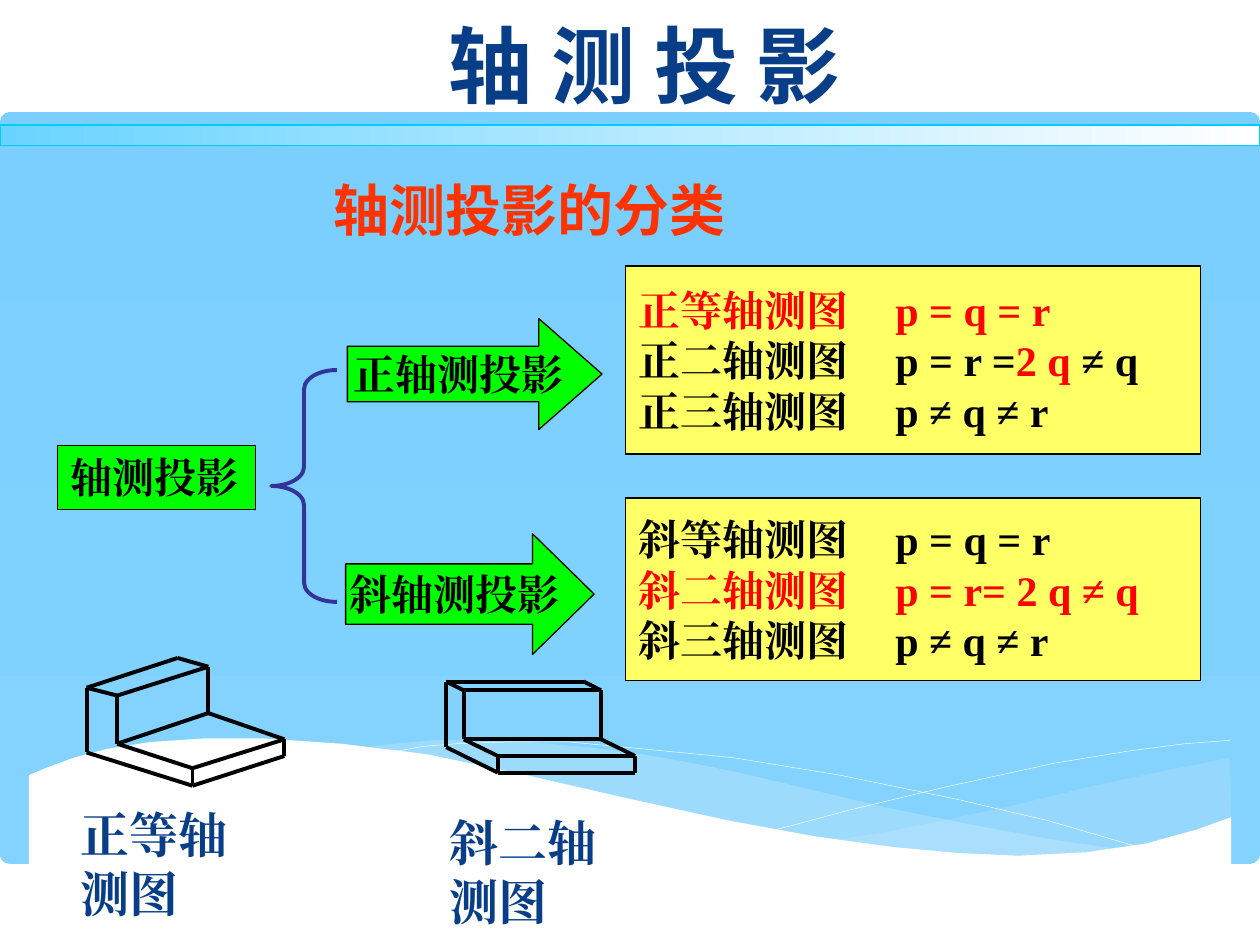
import pptx
import pptx.util
import pptx.dml.color
import pptx.enum.shapes
import pptx.enum.text
import lxml.etree
from typing import NamedTuple

Pt = pptx.util.Pt
Kind = pptx.enum.shapes.MSO_SHAPE
Anchor = pptx.enum.text.MSO_ANCHOR
Align = pptx.enum.text.PP_ALIGN
DRAW = "{http://schemas.openxmlformats.org/drawingml/2006/main}"
SERIF = "Times New Roman"
SANS = "Noto Sans CJK SC"
BLACK, RED, NAVY = "000000", "FF0000", "073E87"
LIME, YELLOW, WHITE = "00FF00", "FFFF66", "FFFFFF"


class Box(NamedTuple):
    left: float
    top: float
    width: float
    height: float


class Part(NamedTuple):
    text: str
    colour: str = BLACK


class Style(NamedTuple):
    size: float = 24
    face: str = SERIF
    align: Align = Align.LEFT
    anchor: Anchor = Anchor.TOP
    wrap: bool = True
    tab: float = 0


class Wave(NamedTuple):
    points: list
    fill: str = ""
    alpha: int = 100


class Solid(NamedTuple):
    points: dict
    edges: str


def paint(colour: str):
    return pptx.dml.color.RGBColor.from_string(colour)


def finish(shape, fill: str = "", line: str = "", width: float = 0.75) -> None:
    shape.shadow.inherit = False
    if fill:
        shape.fill.solid()
        shape.fill.fore_color.rgb = paint(fill)
    else:
        shape.fill.background()
    if line:
        shape.line.color.rgb = paint(line)
        shape.line.width = Pt(width)
    else:
        shape.line.fill.background()


def fade(shape, first: str, last: str, angle: float) -> None:
    shape.fill.gradient()
    shape.fill.gradient_angle = angle
    for stop, colour in zip(shape.fill.gradient_stops, (first, last)):
        stop.color.rgb = paint(colour)


def write(shape, rows: list, style: Style) -> None:
    frame = shape.text_frame
    frame.word_wrap = style.wrap
    frame.vertical_anchor = style.anchor
    frame.text = "\n".join(row[0].text for row in rows)
    for para, row in zip(frame.paragraphs, rows):
        para.alignment = style.align
        if style.tab:
            tabs = lxml.etree.SubElement(para._p.get_or_add_pPr(), DRAW + "tabLst")
            lxml.etree.SubElement(tabs, DRAW + "tab", pos=str(Pt(style.tab)), algn="l")
        for part in row[1:]:
            para.add_run().text = part.text
        for run, part in zip(para.runs, row):
            run.font.size = Pt(style.size)
            run.font.bold = True
            run.font.color.rgb = paint(part.colour)
            run.font.name = style.face
            lxml.etree.SubElement(run._r.get_or_add_rPr(), DRAW + "ea", typeface=style.face)


def block(slide, kind: Kind, box: Box, fill: str = "", line: str = BLACK,
          width: float = 0.75, adjust: tuple = ()):
    shape = slide.shapes.add_shape(kind, *map(Pt, box))
    for index, value in enumerate(adjust):
        shape.adjustments[index] = value
    finish(shape, fill, line, width)
    return shape


def label(slide, box: Box, text: str, colour: str, style: Style) -> None:
    write(slide.shapes.add_textbox(*map(Pt, box)), [[Part(text, colour)]], style)


def sweep(slide, wave: Wave) -> None:
    points = [(Pt(x), Pt(y)) for x, y in wave.points]
    path = slide.shapes.build_freeform(*points[0])
    path.add_line_segments(points[1:], close=bool(wave.fill))
    shape = path.convert_to_shape()
    finish(shape, wave.fill, "" if wave.fill else WHITE, 0.25)
    if wave.alpha < 100:
        tint = shape._element.spPr.find(f"{DRAW}solidFill/{DRAW}srgbClr")
        lxml.etree.SubElement(tint, DRAW + "alpha", val=str(wave.alpha * 1000))


def sketch(slide, solid: Solid) -> None:
    for start, end in solid.edges.split():
        ends = (*solid.points[start], *solid.points[end])
        edge = slide.shapes.add_connector(
            pptx.enum.shapes.MSO_CONNECTOR.STRAIGHT, *map(Pt, ends))
        edge.line.color.rgb = paint(BLACK)
        edge.line.width = Pt(2.25)
        lxml.etree.SubElement(edge._element.spPr, DRAW + "effectLst")


WAVES = [
    Wave([(703, 433), (663, 441), (621, 450), (580, 460), (543, 468), (509, 475),
          (477, 480), (508, 485), (537, 488), (563, 489), (587, 489.5), (609, 489),
          (628, 487), (646, 485), (664, 481.5), (679, 477.5), (694, 471),
          (703.5, 467)], "C6E7FC", 29),
    Wave([(644, 486), (603, 480), (559, 472), (509, 462), (454, 449), (420, 441),
          (390, 435), (361, 430), (335, 427), (302, 424), (274, 422.6), (248, 423),
          (226, 425), (207, 427), (233, 431), (261, 436), (292, 441), (324, 449),
          (382, 462), (433, 473), (469, 480), (501, 485), (530, 488), (557, 489),
          (582, 489.6), (604, 489.6), (625, 488)], "C6E7FC", 40),
    Wave([(223, 430), (242, 426.5), (261, 425), (289, 424), (325, 424), (368, 428),
          (419, 433), (480, 443), (548, 457), (599, 469), (654, 485)]),
    Wave([(442, 474.5), (485, 463), (539, 450), (603, 436), (646, 429), (677, 425),
          (703, 423)]),
    Wave([(703.5, 467), (684, 474), (655, 482), (621, 487), (582, 489), (548, 487.5),
          (510, 484), (466, 478), (417, 469), (362, 457), (301, 443), (244, 431),
          (195, 425), (152, 422), (116, 422), (86, 424), (61, 428), (42, 433),
          (26, 439), (16.5, 443), (16.5, 526), (703.5, 526)], WHITE),
]
SOLIDS = [
    Solid(dict(a=(101.5, 376), b=(49.5, 393), c=(67, 397.5), d=(119, 381),
               e=(49.5, 430), f=(67, 425), g=(110, 449), h=(110, 439),
               i=(162.5, 422.5), j=(162.5, 432), k=(119, 407.5)),
          "ab bc ad cd be cf eg fh hg hi gj ji ik dk fk"),
    Solid(dict(a=(255, 389.5), b=(255, 427), c=(284.5, 441.5), d=(333.5, 389.5),
               e=(265, 394.5), f=(265, 422.5), g=(343.5, 394.5), h=(343.5, 422.5),
               i=(363, 441.5), j=(284.5, 432), k=(363, 432)),
          "ab bc ad ae ef eg dg gh ci cj jk jf fh hk ki"),
]
ARROWS = [
    ("正轴测投影", Box(198.5, 182, 145.5, 63.5), 0.57),
    ("斜轴测投影", Box(197.5, 305, 142, 69), 0.51),
]
PANELS = [
    (Box(357.5, 152, 328.5, 107.5), [
        [Part("正等轴测图\tp = q = r", RED)],
        [Part("正二轴测图\tp = r ="), Part("2 q ", RED), Part("≠ q")],
        [Part("正三轴测图\tp ≠ q ≠ r")]]),
    (Box(357.5, 284.5, 328.5, 104.5), [
        [Part("斜等轴测图\tp = q = r")],
        [Part("斜二轴测图\tp = r= 2 q ≠ q", RED)],
        [Part("斜三轴测图\tp ≠ q ≠ r")]]),
]


def main() -> None:
    deck = pptx.Presentation()
    deck.slide_width, deck.slide_height = Pt(720), Pt(540)
    slide = deck.slides.add_slide(deck.slide_layouts[6])
    sky = block(slide, Kind.ROUNDED_RECTANGLE, Box(0, 64, 720, 429.5), line="",
                adjust=(0.013,))
    fade(sky, "7ACFFE", "83D3FE", 270)
    for wave in WAVES:
        sweep(slide, wave)
    foot = Style(align=Align.CENTER, anchor=Anchor.BOTTOM)
    label(slide, Box(171, 106, 263.5, 36), "轴测投影的分类", "FF3300",
          foot._replace(size=32, face=SANS))
    root = block(slide, Kind.RECTANGLE, Box(33, 254.5, 113, 36.5), LIME)
    write(root, [[Part("轴测投影")]], Style())
    block(slide, Kind.LEFT_BRACE, Box(155, 211.5, 37.5, 132.5), line="333399",
          width=2.25, adjust=(0.29, 0.5))
    for text, box, head in ARROWS:
        arrow = block(slide, Kind.RIGHT_ARROW, box, LIME, adjust=(0.5, head))
        write(arrow, [[Part(text)]], Style(align=Align.CENTER, anchor=Anchor.MIDDLE,
                                           wrap=False))
    for box, rows in PANELS:
        panel = block(slide, Kind.RECTANGLE, box, YELLOW)
        write(panel, rows, Style(anchor=Anchor.MIDDLE, tab=147))
    for solid in SOLIDS:
        sketch(slide, solid)
    for text, left, top in (("正等轴测图", 39, 456), ("斜二轴测图", 250, 461)):
        label(slide, Box(left, top, 105, 75), text, NAVY, Style(size=28))
    label(slide, Box(212.5, 15, 312, 54), "轴 测 投 影", NAVY,
          foot._replace(size=48, face="Cabin"))
    band = block(slide, Kind.RECTANGLE, Box(0, 71.5, 720, 11.5), line="00CCFF")
    fade(band, "69D4FF", WHITE, 0)
    deck.save("out.pptx")


if __name__ == "__main__":
    main()
